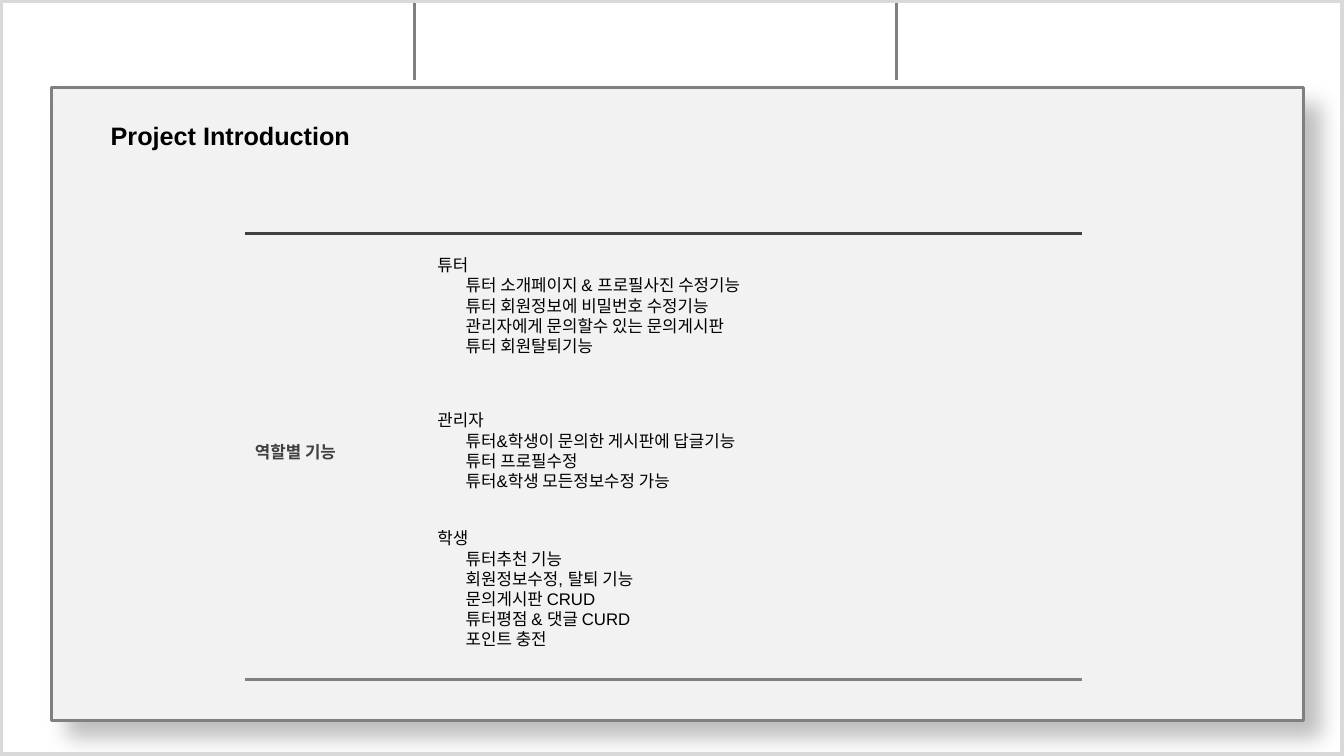
from lxml import etree
from pptx import Presentation
from pptx.dml.color import RGBColor
from pptx.enum.shapes import MSO_CONNECTOR, MSO_SHAPE
from pptx.enum.text import MSO_AUTO_SIZE
from pptx.oxml.ns import qn
from pptx.util import Inches, Pt

RECTANGLE = MSO_SHAPE.RECTANGLE
STRAIGHT = MSO_CONNECTOR.STRAIGHT
GROW = MSO_AUTO_SIZE.SHAPE_TO_FIT_TEXT

COLORS = {
    "panel": "F2F2F2",
    "gray": "808080",
    "frame": "D9D9D9",
    "dark": "404040",
    "black": "000000",
}

ROLES = [
    (33.07, "튜터", [
        "튜터 소개페이지 & 프로필사진 수정기능",
        "튜터 회원정보에 비밀번호 수정기능",
        "관리자에게 문의할수 있는 문의게시판",
        "튜터 회원탈퇴기능",
    ]),
    (53.6, "관리자", [
        "튜터&학생이 문의한 게시판에 답글기능",
        "튜터 프로필수정",
        "튜터&학생 모든정보수정 가능",
    ]),
    (69.2, "학생", [
        "튜터추천 기능",
        "회원정보수정, 탈퇴 기능",
        "문의게시판 CRUD",
        "튜터평점 & 댓글 CURD",
        "포인트 충전",
    ]),
]


class SlideBuilder:
    font = "Arial"
    body_size = 12
    role_indent = 0.4
    feature_indent = 0.68

    def __init__(self, deck):
        self.deck = deck
        self.page = deck.slides.add_slide(deck.slide_layouts[6])

    def place(self, left, top, width, height):
        full_width, full_height = self.deck.slide_width, self.deck.slide_height
        return (round(full_width * left / 100), round(full_height * top / 100),
                round(full_width * width / 100), round(full_height * height / 100))

    def color(self, name):
        return RGBColor.from_string(COLORS[name])

    def outline(self, line, color, weight):
        line.color.rgb = self.color(color)
        line.width = Pt(weight)

    def rectangle(self, area, line, weight, fill=None):
        box = self.page.shapes.add_shape(RECTANGLE, *self.place(*area))
        box.shadow.inherit = False
        if fill:
            box.fill.solid()
            box.fill.fore_color.rgb = self.color(fill)
        else:
            box.fill.background()
        self.outline(box.line, line, weight)
        return box

    def drop_shadow(self, box, opacity, blur, distance, angle):
        effects = box._element.spPr.find(qn("a:effectLst"))
        shadow = etree.SubElement(
            effects, qn("a:outerShdw"), blurRad=str(Pt(blur)), dist=str(Pt(distance)),
            dir=str(angle * 60000), algn="tl", rotWithShape="0")
        tint = etree.SubElement(shadow, qn("a:srgbClr"), val=COLORS["black"])
        etree.SubElement(tint, qn("a:alpha"), val=str(opacity * 1000))

    def line(self, left, top, right, bottom, color):
        rule = self.page.shapes.add_connector(
            STRAIGHT, *self.place(left, top, right, bottom))
        self.outline(rule.line, color, 2)
        etree.SubElement(rule._element.spPr, qn("a:effectLst"))

    def text_box(self, area, wrap=True):
        box = self.page.shapes.add_textbox(*self.place(*area))
        box.text_frame.word_wrap = wrap
        box.text_frame.auto_size = GROW
        return box.text_frame

    def add_span(self, para, text, color="black", size=body_size, bold=False, indent=0):
        if indent:
            properties = para._p.get_or_add_pPr()
            properties.set("marL", str(Inches(indent)))
            properties.set("indent", "0")
        span = para.add_run()
        span.text = text
        span.font.name = self.font
        span.font.size = Pt(size)
        span.font.bold = bold
        span.font.color.rgb = self.color(color)

    def label(self, area, text, wrap=True, **style):
        self.add_span(self.text_box(area, wrap).paragraphs[0], text, **style)

    def role(self, top, name, features):
        height = 1.47 + 2.67 * (len(features) + 1)
        frame = self.text_box((28.81, top, 31.51, height))
        self.add_span(frame.paragraphs[0], name, indent=self.role_indent)
        for feature in features:
            self.add_span(frame.add_paragraph(), feature, indent=self.feature_indent)


def main():
    deck = Presentation()
    deck.slide_width = Inches(13.33)
    deck.slide_height = Inches(7.5)
    slide = SlideBuilder(deck)

    panel = slide.rectangle((3.83, 11.6, 93.17, 83.73), "gray", 2, fill="panel")
    slide.drop_shadow(panel, opacity=25, blur=15, distance=17, angle=45)
    for hanger in (30.83, 66.69):
        slide.line(hanger, 0, hanger, 10.53, "gray")
    slide.rectangle((0, 0, 100, 100), "frame", 5)
    for height, color in ((30.93, "dark"), (89.87, "gray")):
        slide.line(18.23, height, 80.5, height, color)

    slide.label((7.5, 15.2, 19.65, 5.33), "Project Introduction",
                wrap=False, size=18, bold=True)
    for top, name, features in ROLES:
        slide.role(top, name, features)
    slide.label((18.23, 57.73, 11.25, 4), "역할별 기능", color="dark", bold=True)

    deck.save("out.pptx")


if __name__ == "__main__":
    main()
